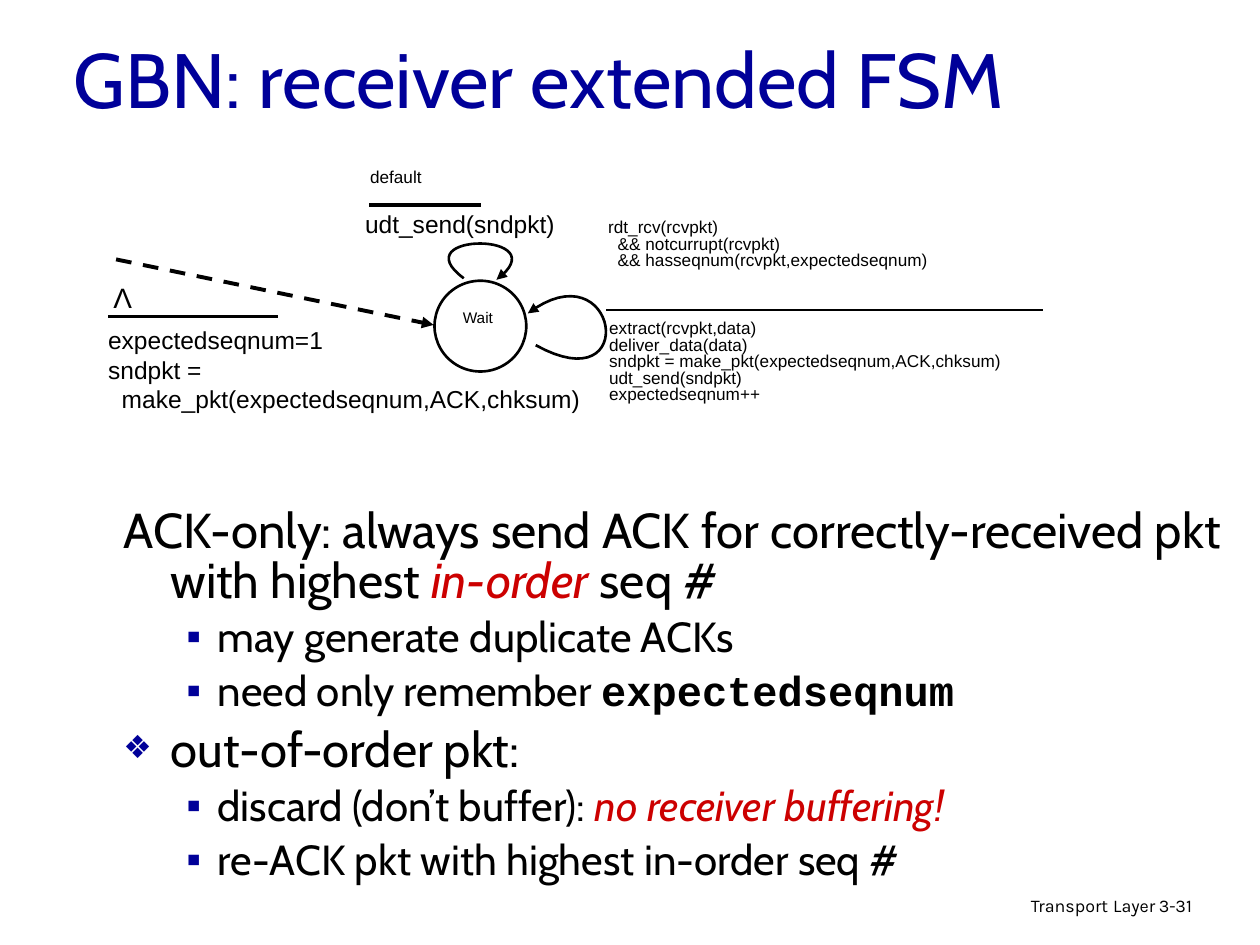
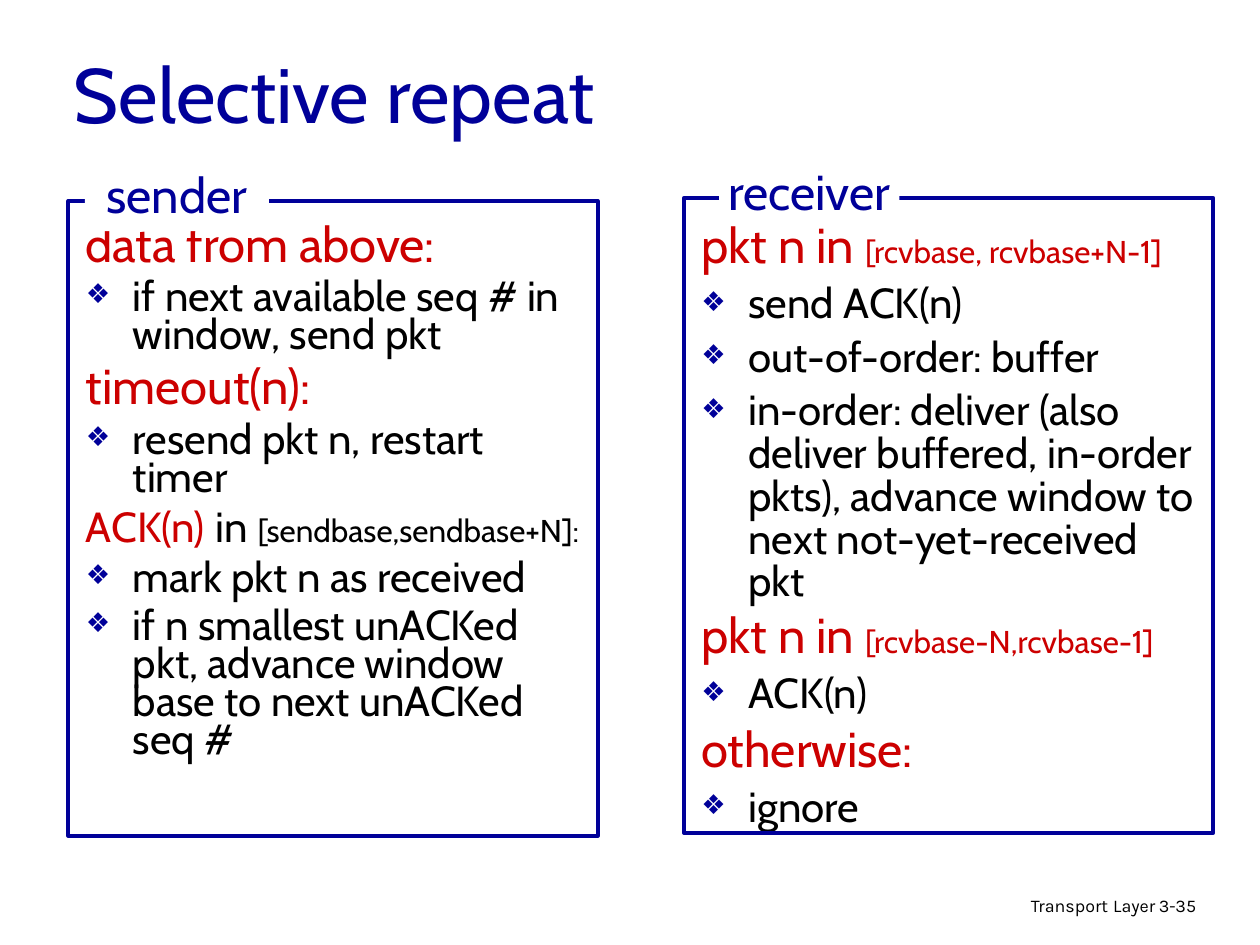
from typing import NamedTuple

from lxml import etree
from pptx import Presentation
from pptx.dml.color import RGBColor
from pptx.enum.dml import MSO_LINE
from pptx.enum.shapes import MSO_CONNECTOR, MSO_SHAPE
from pptx.enum.text import MSO_ANCHOR, PP_ALIGN
from pptx.oxml.ns import qn
from pptx.util import Cm, Pt

LEFT, CENTER, RIGHT = PP_ALIGN.LEFT, PP_ALIGN.CENTER, PP_ALIGN.RIGHT
TOP, MIDDLE = MSO_ANCHOR.TOP, MSO_ANCHOR.MIDDLE
STRAIGHT, DASH = MSO_CONNECTOR.STRAIGHT, MSO_LINE.DASH
OVAL, RECTANGLE = MSO_SHAPE.OVAL, MSO_SHAPE.RECTANGLE
COLORS = {"ink": "000000", "navy": "000099", "red": "CC0000", "paper": "FFFFFF"}
BODY, CODE, MONO, FOOTER = "Cabin", "Arial", "Courier New", "Karla"
CURVE_STEPS = 32
LABEL_WIDTH = 4.6


class Run(NamedTuple):
    """A piece of text with one look."""
    text: str
    size: float = 24
    color: str = "ink"
    font: str = BODY
    italic: bool = False
    bold: bool = False


class Para(NamedTuple):
    """A paragraph with its bullet, indents in cm and space before in points."""
    runs: list
    before: float = 0
    bullet: str = ""
    bullet_size: int = 100
    margin: float = 0
    hanging: float = 0


def topic(*runs, before=7, bullet=""):
    """Return a first-level paragraph, with a hanging indent."""
    return Para(runs, before, bullet, 65, 0.95, 0.95)


def diamond(text, size=24, before=6):
    """Return a first-level paragraph with a diamond bullet."""
    return topic(Run(text, size), before=before, bullet="❖")


def square(*runs):
    """Return a second-level paragraph with a square bullet."""
    return Para(runs, 6, "▪", 100, 1.9, 0.63)


def color(name):
    """Return the named colour."""
    return RGBColor.from_string(COLORS[name])


def add_bullet(paragraph, para):
    """Give a paragraph its indents and its navy bullet."""
    props = paragraph._p.get_or_add_pPr()
    props.set("marL", str(Cm(para.margin)))
    props.set("indent", str(-Cm(para.hanging)))
    if not para.bullet:
        etree.SubElement(props, qn("a:buNone"))
        return
    tint = etree.SubElement(props, qn("a:buClr"))
    etree.SubElement(tint, qn("a:srgbClr"), val=COLORS["navy"])
    etree.SubElement(props, qn("a:buSzPct"), val=str(para.bullet_size * 1000))
    etree.SubElement(props, qn("a:buFont"), typeface=CODE)
    etree.SubElement(props, qn("a:buChar"), char=para.bullet)


def add_text(slide, box, paras, spacing=1.0, align=LEFT, anchor=TOP, wrap=True):
    """Write paragraphs into a text box."""
    frame = slide.shapes.add_textbox(*map(Cm, box)).text_frame
    frame.word_wrap = wrap
    frame.vertical_anchor = anchor
    for index, para in enumerate(paras):
        paragraph = frame.add_paragraph() if index else frame.paragraphs[0]
        add_bullet(paragraph, para)
        paragraph.alignment = align
        paragraph.line_spacing = spacing
        paragraph.space_before = Pt(para.before if index else 0)
        for piece in para.runs:
            run = paragraph.add_run()
            run.text = piece.text
            run.font.size = Pt(piece.size)
            run.font.name = piece.font
            run.font.color.rgb = color(piece.color)
            run.font.italic = piece.italic
            run.font.bold = piece.bold


def add_code(slide, box, lines, size, **layout):
    """Write lines of protocol code."""
    add_text(slide, box, [Para([Run(line, size, font=CODE)]) for line in lines], **layout)


def add_outline(slide, kind, box, fill=None, line=None, width=1.5):
    """Draw a preset shape with an optional fill and line."""
    shape = slide.shapes.add_shape(kind, *map(Cm, box))
    shape.shadow.inherit = False
    if fill:
        shape.fill.solid()
        shape.fill.fore_color.rgb = color(fill)
    else:
        shape.fill.background()
    if line:
        shape.line.color.rgb = color(line)
        shape.line.width = Pt(width)
    else:
        shape.line.fill.background()


def style_line(line, width, arrow):
    """Make a line black, with an arrowhead at its end if asked."""
    line.color.rgb = color("ink")
    line.width = Pt(width)
    if arrow:
        etree.SubElement(line._get_or_add_ln(), qn("a:tailEnd"), type="triangle")


def add_line(slide, start, end, width=2.25, arrow=False, dash=None):
    """Draw a straight line."""
    connector = slide.shapes.add_connector(STRAIGHT, *map(Cm, start + end))
    if dash:
        connector.line.dash_style = dash
    style_line(connector.line, width, arrow)
    etree.SubElement(connector._element.spPr, qn("a:effectLst"))


def add_loop(slide, controls):
    """Draw an arrow along the cubic curve of four control points."""
    points = []
    for step in range(CURVE_STEPS + 1):
        t = step / CURVE_STEPS
        weights = ((1 - t) ** 3, 3 * t * (1 - t) ** 2, 3 * t * t * (1 - t), t ** 3)
        points.append(tuple(Cm(sum(w * c for w, c in zip(weights, axis)))
                            for axis in zip(*controls)))
    builder = slide.shapes.build_freeform(*points[0], scale=1.0)
    builder.add_line_segments(points[1:], close=False)
    loop = builder.convert_to_shape()
    loop.fill.background()
    loop.shadow.inherit = False
    style_line(loop.line, 1.5, True)


def add_frame(prs, title, title_box, number):
    """Add a slide with its title and footer."""
    slide = prs.slides.add_slide(prs.slide_layouts[6])
    add_text(slide, title_box, [Para([Run(title, 44, "navy")])], anchor=MIDDLE)
    section = [Run("Transport", 10.2, font=FOOTER), Run(" ", 11.9, font=FOOTER),
               Run("Layer", 10.2, font=FOOTER)]
    add_text(slide, (15.49, 17.91, 8.05, 0.79), [Para(section)], 0.9, RIGHT)
    add_text(slide, (23.11, 17.96, 1.88, 0.76),
             [Para([Run(number, 10.2, font=FOOTER)])], 0.9)
    return slide


def draw_receiver_fsm(slide, left, top):
    """Draw the one-state machine with its three transitions."""
    def at(x, y, *size):
        return (left + x, top + y, *size)

    add_outline(slide, OVAL, at(6.83, 2.36, 1.85, 1.83), "paper", "ink")
    add_code(slide, at(6.6, 2.85, 2.21, 0.66), ["Wait"], 8.8, spacing=0.8, align=CENTER)

    add_line(slide, at(0.41, 1.93), at(6.81, 3.25), arrow=True, dash=DASH)
    add_code(slide, at(0.1, 2.24, 0.89, 0.94), ["Λ"], 16, align=CENTER, wrap=False)
    add_line(slide, at(0.25, 3.08), at(3.68, 3.08))
    add_code(slide, at(0, 3.13, 10.11, 2.72),
             ["expectedseqnum=1", "sndpkt =", "  make_pkt(expectedseqnum,ACK,chksum)"], 14)

    add_code(slide, at(5.28, 0, 2, 0.69), ["default"], 9.8, spacing=0.8)
    add_line(slide, at(5.51, 0.84), at(7.77, 0.84))
    add_code(slide, at(5.18, 0.79, 4.5, 0.86), ["udt_send(sndpkt)"], 14)
    add_loop(slide, [at(7.42, 2.31), at(6.15, 1.37), at(9.37, 1.37), at(8.08, 2.34)])

    add_code(slide, at(10.08, 1.02, 9.91, 1.57),
             ["rdt_rcv(rcvpkt)", "  && notcurrupt(rcvpkt)",
              "  && hasseqnum(rcvpkt,expectedseqnum)"], 9.8, spacing=0.8)
    add_line(slide, at(10.29, 2.95), at(19.1, 2.95), 1.5)
    add_code(slide, at(10.1, 3.06, 11.99, 2.39),
             ["extract(rcvpkt,data)", "deliver_data(data)",
              "sndpkt = make_pkt(expectedseqnum,ACK,chksum)",
              "udt_send(sndpkt)", "expectedseqnum++"], 9.8, spacing=0.8)
    add_loop(slide, [at(8.87, 3.66), at(11.02, 4.85), at(10.52, 1.65), at(8.71, 3.02)])


def draw_panel(slide, left, top, label, gap, paras, spacing):
    """Draw a framed list whose label is centred on a gap in the top edge."""
    gap_left, gap_top, gap_width, gap_height = gap
    label_left = left + gap_left + (gap_width - LABEL_WIDTH) / 2
    add_text(slide, (left + 0.1, top + 0.4, 10.59, 12.9), paras, spacing)
    add_outline(slide, RECTANGLE, (left, top, 10.67, 12.8), line="navy", width=2.25)
    add_outline(slide, RECTANGLE,
                (left + gap_left, top + gap_top, gap_width, gap_height), "paper")
    add_text(slide, (label_left, top - 0.85, LABEL_WIDTH, 1.45),
             [Para([Run(label, 28, "navy")])], align=CENTER)


def build_receiver_slide(prs):
    """Build the slide on the Go-Back-N receiver."""
    slide = add_frame(prs, "GBN: receiver extended FSM", (1.24, 0.58, 21.59, 1.96), "3-31")
    rules = [
        topic(Run("ACK-only: always send ACK for correctly-received pkt with highest ", 28),
              Run("in-order", 28, "red", italic=True), Run(" seq #", 28)),
        square(Run("may generate duplicate ACKs")),
        square(Run("need only remember "), Run("expectedseqnum", font=MONO, bold=True)),
        diamond("out-of-order pkt:", 28, 7),
        square(Run("discard (don’t buffer): "),
               Run("no receiver buffering!", color="red", italic=True)),
        square(Run("re-ACK pkt with highest in-order seq #")),
    ]
    add_text(slide, (2.24, 10.12, 22.65, 7.92), rules, 0.85)
    draw_receiver_fsm(slide, 1.93, 3.3)


def build_selective_repeat_slide(prs):
    """Build the slide comparing the sender and receiver events."""
    slide = add_frame(prs, "Selective repeat", (1.24, 0.69, 21.59, 2.34), "3-35")
    sender = [
        topic(Run("data from above:", 28, "red")),
        diamond("if next available seq # in window, send pkt"),
        topic(Run("timeout(n):", 28, "red")),
        diamond("resend pkt n, restart timer"),
        topic(Run("ACK(n)", color="red"), Run(" ", 28), Run("in "),
              Run("[sendbase,sendbase+N]:", 18), before=4.5),
        diamond("mark pkt n as received"),
        diamond("if n smallest unACKed pkt, advance window base to next unACKed seq #"),
    ]
    receiver = [
        topic(Run("pkt n in ", 28, "red"), Run("[rcvbase, rcvbase+N-1]", 18, "red")),
        diamond("send ACK(n)"),
        diamond("out-of-order: buffer"),
        diamond("in-order: deliver (also deliver buffered, in-order pkts), "
                "advance window to next not-yet-received pkt"),
        topic(Run("pkt n in ", 28, "red"), Run("[rcvbase-N,rcvbase-1]", 18, "red"),
              before=4.5),
        diamond("ACK(n)"),
        topic(Run("otherwise:", 28, "red"), before=6),
        diamond("ignore"),
    ]
    draw_panel(slide, 1.38, 4.05, "sender", (0.33, -0.84, 3.71, 1.45), sender, 0.75)
    draw_panel(slide, 13.79, 3.99, "receiver", (0.71, -0.38, 3.63, 0.79), receiver, 0.85)


def main():
    """Build the presentation and save it."""
    prs = Presentation()
    prs.slide_width, prs.slide_height = Cm(25.4), Cm(19.05)
    build_receiver_slide(prs)
    build_selective_repeat_slide(prs)
    prs.save("out.pptx")


if __name__ == "__main__":
    main()
